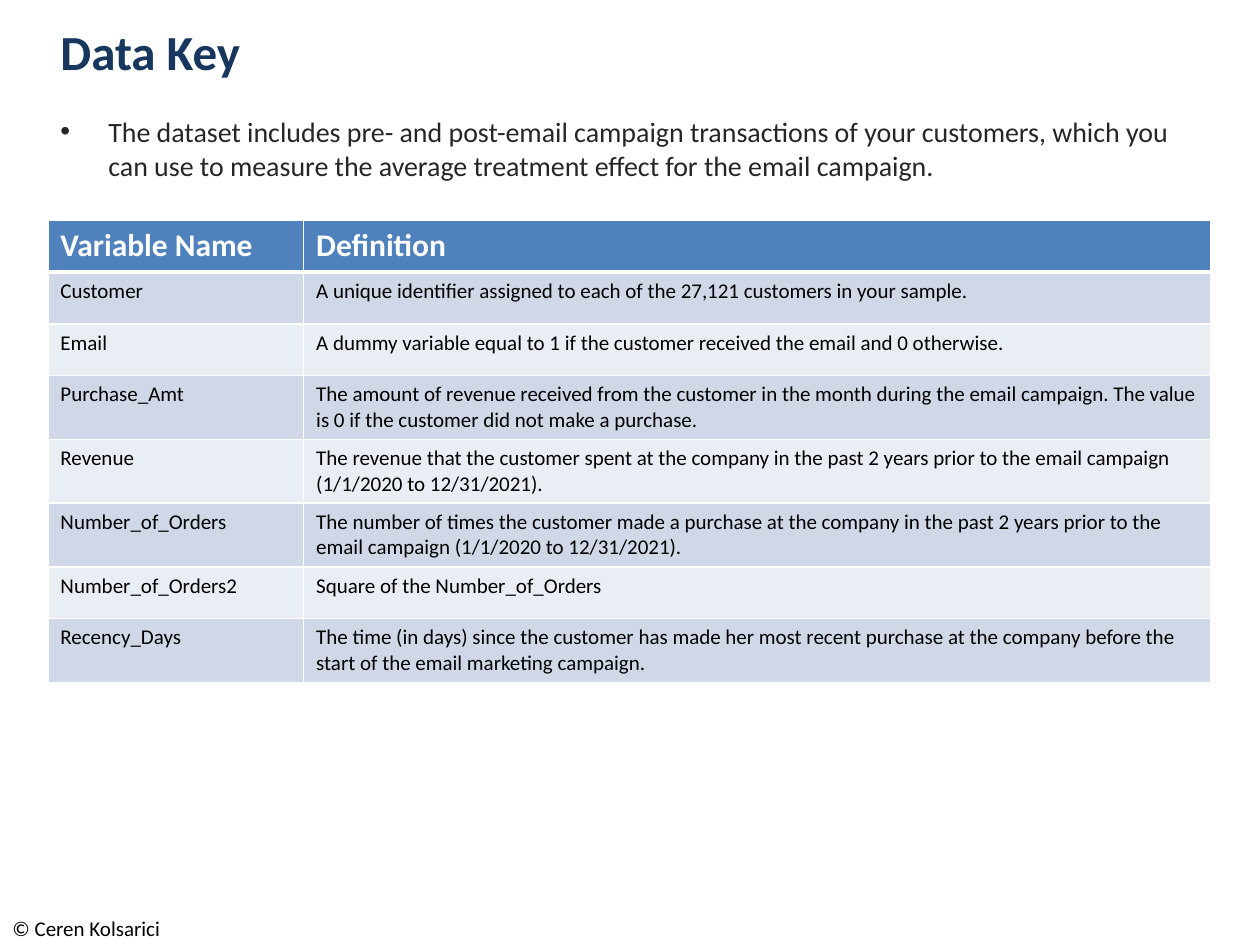
from pptx import Presentation
from pptx.dml.color import RGBColor
from pptx.enum.text import MSO_ANCHOR as Anchor, MSO_AUTO_SIZE as AutoSize, PP_ALIGN as Align
from pptx.oxml import parse_xml
from pptx.oxml.ns import nsdecls
from pptx.util import Inches, Pt

COLORS = {
    "title": "17375E",
    "body": "262626",
    "text": "000000",
    "white": "FFFFFF",
    "header": "4F81BD",
    "odd": "D0D8E8",
    "even": "E9EDF4",
}
FONT = "Calibri"
LEFT = 0.38
VARIABLES = [
    ("Variable Name", "Definition"),
    ("Customer", "A unique identifier assigned to each of the 27,121 customers in your sample."),
    ("Email", "A dummy variable equal to 1 if the customer received the email and 0 otherwise."),
    ("Purchase_Amt", "The amount of revenue received from the customer in the month during the "
     "email campaign. The value is 0 if the customer did not make a purchase."),
    ("Revenue", "The revenue that the customer spent at the company in the past 2 years prior to "
     "the email campaign (1/1/2020 to 12/31/2021)."),
    ("Number_of_Orders", "The number of times the customer made a purchase at the company in the "
     "past 2 years prior to the email campaign (1/1/2020 to 12/31/2021)."),
    ("Number_of_Orders2", "Square of the Number_of_Orders"),
    ("Recency_Days", "The time (in days) since the customer has made her most recent purchase at "
     "the company before the start of the email marketing campaign."),
]


class SlideBuilder:
    def __init__(self, slide):
        self.slide = slide

    def place(self, shape, left, top, width, height):
        shape.left, shape.top = Inches(left), Inches(top)
        shape.width, shape.height = Inches(width), Inches(height)

    def set_text(self, text_frame, text, size, color, bold=False):
        text_frame.text = text
        text_frame.word_wrap = True
        paragraph = text_frame.paragraphs[0]
        paragraph.alignment = Align.LEFT
        font = paragraph.runs[0].font
        font.name, font.size, font.bold = FONT, Pt(size), bold
        font.color.rgb = RGBColor.from_string(COLORS[color])
        return paragraph

    def title(self, text, *box):
        shape = self.slide.shapes.title
        self.place(shape, *box)
        self.set_text(shape.text_frame, text, 28, "title", bold=True)
        shape.text_frame.auto_size = AutoSize.NONE
        shape.text_frame.vertical_anchor = Anchor.MIDDLE

    def bullet(self, text, *box):
        shape = self.slide.placeholders[1]
        self.place(shape, *box)
        paragraph = self.set_text(shape.text_frame, text, 16, "body")
        shape.text_frame.auto_size = AutoSize.NONE
        paragraph.space_before = Pt(0)
        properties = paragraph._p.get_or_add_pPr()
        properties.set("marL", str(Inches(0.38)))
        properties.set("indent", str(Inches(-0.38)))
        properties.append(parse_xml(f'<a:buFont {nsdecls("a")} typeface="Arial"/>'))
        properties.append(parse_xml(f'<a:buChar {nsdecls("a")} char="•"/>'))

    def text_box(self, text, *box):
        shape = self.slide.shapes.add_textbox(*map(Inches, box))
        self.set_text(shape.text_frame, text, 12, "text")

    def borders(self, cell, **widths):
        properties = cell._tc.get_or_add_tcPr()
        for side in "LRTB":
            properties.append(parse_xml(
                f'<a:ln{side} {nsdecls("a")} w="{Pt(widths.get(side, 1))}"><a:solidFill>'
                f'<a:srgbClr val="{COLORS["white"]}"/></a:solidFill></a:ln{side}>'))

    def table(self, rows, left, top, column_widths, row_height):
        frame = self.slide.shapes.add_table(
            len(rows), len(column_widths), Inches(left), Inches(top),
            Inches(sum(column_widths)), Inches(row_height * len(rows)))
        table = frame.table
        for column, width in zip(table.columns, column_widths):
            column.width = Inches(width)
        for row_index, row in enumerate(rows):
            table.rows[row_index].height = Inches(row_height)
            for column_index, text in enumerate(row):
                cell = table.cell(row_index, column_index)
                if row_index == 0:
                    self.set_text(cell.text_frame, text, 18, "white", bold=True)
                    self.borders(cell, B=3)
                    fill = "header"
                else:
                    self.set_text(cell.text_frame, text, 12, "text")
                    self.borders(cell, T=3 if row_index == 1 else 1)
                    fill = "odd" if row_index % 2 else "even"
                cell.fill.solid()
                cell.fill.fore_color.rgb = RGBColor.from_string(COLORS[fill])


def main():
    presentation = Presentation()
    presentation.slide_width, presentation.slide_height = Inches(10), Inches(7.5)
    builder = SlideBuilder(presentation.slides.add_slide(presentation.slide_layouts[1]))

    # Heading and introduction
    builder.title("Data Key", LEFT, 0.05, 8.2, 0.71)
    builder.bullet(
        "The dataset includes pre- and post-email campaign transactions of your customers, "
        "which you can use to measure the average treatment effect for the email campaign.",
        LEFT, 0.86, 9.24, 2.15)

    # Variable definitions
    builder.table(VARIABLES, LEFT, 1.75, (2.03, 7.2), 0.41)

    # Copyright line
    builder.text_box("© Ceren Kolsarici", 0, 7.22, 5.41, 0.28)

    presentation.save("out.pptx")


if __name__ == "__main__":
    main()
